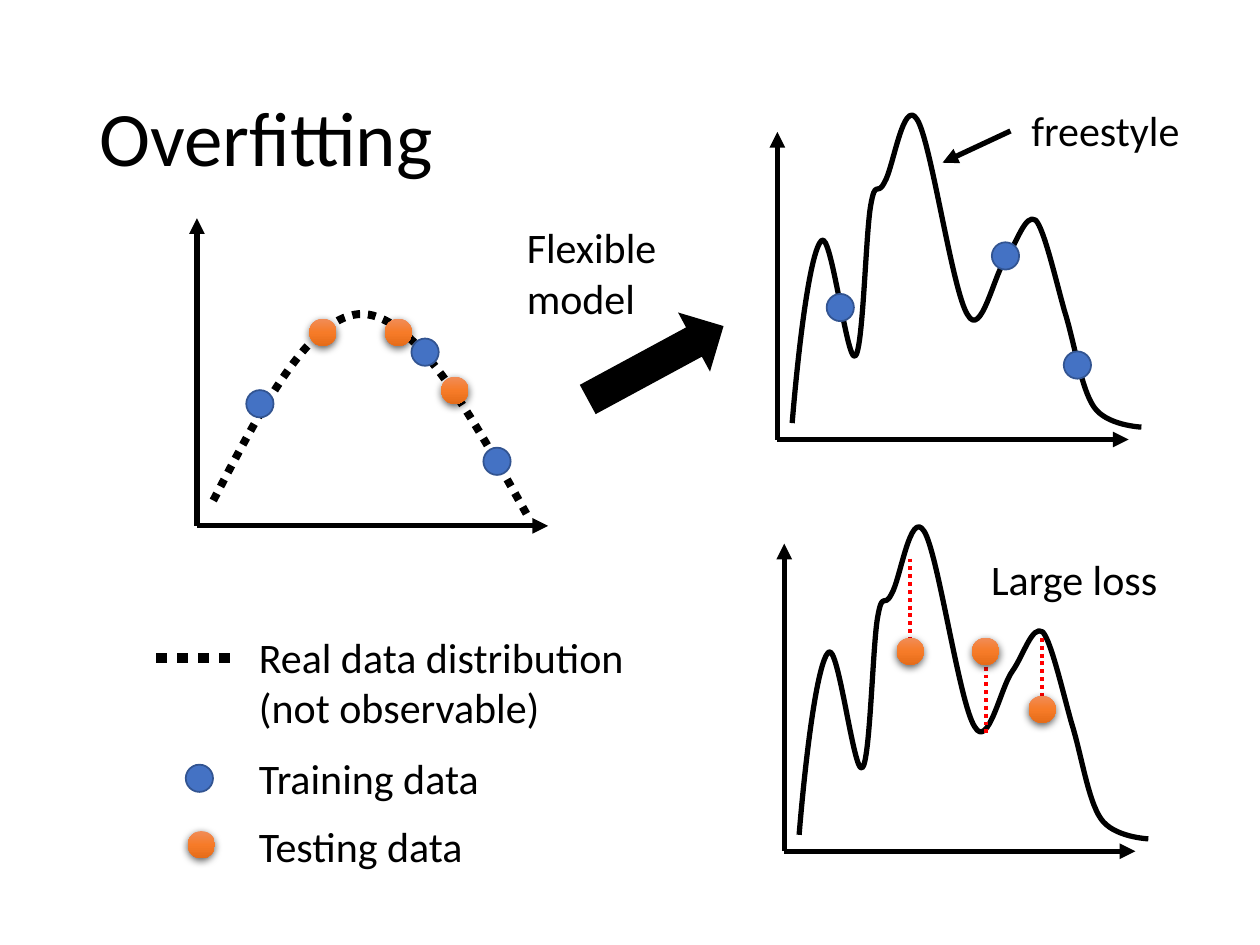
from copy import deepcopy

from lxml.etree import SubElement
from pptx import Presentation
from pptx.dml.color import RGBColor
from pptx.enum.dml import MSO_LINE
from pptx.enum.shapes import MSO_CONNECTOR, MSO_SHAPE
from pptx.enum.text import MSO_ANCHOR
from pptx.oxml.ns import qn
from pptx.util import Cm, Pt

COLORS = {
    "ink": "000000", "train": "4472C4", "train_edge": "325491", "loss": "FF0000",
    "test_top": "F18C57", "test_mid": "F67B28", "test_end": "E56C19",
}
REAL_CURVE = [
    (0.33, 0.51), (1.32, 2.41), (2.31, 4.29), (3.35, 4.27),
    (4.42, 4.22), (5.54, 2.21), (6.65, 0.23),
]
FITTED_CURVE = [
    (0.3, 0.33), (0.43, 1.91), (0.66, 3.78), (0.89, 4.01),
    (1.09, 4.22), (1.4, 1.55), (1.57, 1.68),
    (1.73, 1.78), (1.78, 4.11), (1.88, 4.7),
    (1.98, 5.28), (2.01, 4.88), (2.16, 5.18),
    (2.34, 5.46), (2.54, 6.91), (2.82, 6.45),
    (3.1, 6.02), (3.53, 2.97), (3.84, 2.51),
    (4.11, 2.03), (4.37, 3.33), (4.6, 3.63),
    (4.83, 3.96), (5, 4.57), (5.21, 4.42),
    (5.38, 4.24), (5.61, 3.23), (5.79, 2.59),
    (5.99, 1.96), (6.12, 1.04), (6.38, 0.66),
    (6.63, 0.28), (7.34, 0.25), (7.34, 0.25),
]
TRAIN_X = [1.27, 4.6, 6.05]
TEST_X = [2.54, 4.06, 5.2]


def rgb(name):
    """Return the named colour."""
    return RGBColor.from_string(COLORS[name])


def bounds(points, steps=16):
    """Return the lowest and highest x and y along a chain of cubic curves."""
    xs, ys = [], []
    for i in range(0, len(points) - 1, 3):
        for k in range(steps + 1):
            t = k / steps
            weights = ((1 - t) ** 3, 3 * t * (1 - t) ** 2, 3 * t * t * (1 - t), t ** 3)
            for axis, values in enumerate((xs, ys)):
                values.append(sum(w * pt[axis] for w, pt in zip(weights, points[i:i + 4])))
    return min(xs), min(ys), max(xs), max(ys)


class Deck:
    """Hold the style and the current slide."""

    font = "Calibri"
    dot_size = 0.55

    def __init__(self, slide):
        """Keep the slide to draw on."""
        self.s = slide

    def text(self, x, y, w, h, words, size=24):
        """Add a wrapping text box."""
        tf = self.s.shapes.add_textbox(Cm(x), Cm(y), Cm(w), Cm(h)).text_frame
        tf.word_wrap = True
        tf.text = words
        r = tf.paragraphs[0].runs[0]
        r.font.name, r.font.size = self.font, Pt(size)
        r.font.color.rgb = rgb("ink")
        return tf

    def stroke(self, line, color, width, dotted=False):
        """Style an outline."""
        line.color.rgb = rgb(color)
        line.width = Pt(width)
        if dotted:
            line.dash_style = MSO_LINE.ROUND_DOT

    def line(self, start, end, color="ink", width=3, dotted=False, arrow=False):
        """Add a straight line or arrow."""
        cx = self.s.shapes.add_connector(
            MSO_CONNECTOR.STRAIGHT, *(Cm(v) for v in (*start, *end)))
        self.stroke(cx.line, color, width, dotted)
        sp_pr = cx._element.spPr
        if arrow:
            SubElement(sp_pr.find(qn("a:ln")), qn("a:tailEnd"), type="triangle")
        SubElement(sp_pr, qn("a:effectLst"))

    def shape(self, kind, x, y, w, h, color, edge):
        """Add a filled preset shape."""
        sp = self.s.shapes.add_shape(kind, Cm(x), Cm(y), Cm(w), Cm(h))
        sp.shadow.inherit = False
        sp.fill.solid()
        sp.fill.fore_color.rgb = rgb(color)
        self.stroke(sp.line, edge, 1)
        SubElement(sp._element.spPr.find(qn("a:ln")), qn("a:miter"), lim="800000")
        return sp

    def train_dot(self, x, y):
        """Add a training point centred on x, y."""
        d = self.dot_size
        return self.shape(MSO_SHAPE.OVAL, x - d / 2, y - d / 2, d, d, "train", "train_edge")

    def test_dot(self, x, y):
        """Add a shaded testing point centred on x, y."""
        sp = self.train_dot(x, y)
        sp.line.fill.background()
        sp.fill.gradient()
        sp.fill.gradient_angle = 270
        sp_pr = sp._element.spPr
        stops = sp_pr.find(qn("a:gradFill")).find(qn("a:gsLst"))
        stops.append(deepcopy(stops[0]))
        names = ("test_top", "test_mid", "test_end")
        for i, (stop, name) in enumerate(zip(sp.fill.gradient_stops, names)):
            stop.position = i / 2
            stop.color.rgb = rgb(name)
        shadow = SubElement(sp_pr.find(qn("a:effectLst")), qn("a:outerShdw"),
                            blurRad=str(Pt(4.5)), dist=str(Pt(1.5)), dir="5400000",
                            algn="ctr", rotWithShape="0")
        black = SubElement(shadow, qn("a:srgbClr"), val=COLORS["ink"])
        SubElement(black, qn("a:alpha"), val="63000")

    def curve(self, points, width=3, dotted=False):
        """Add an open curve of cubic segments."""
        left, top, right, bottom = (Cm(v) for v in bounds(points))
        builder = self.s.shapes.build_freeform(left, top)
        builder.add_line_segments([(right, bottom)], close=False)
        sp = builder.convert_to_shape()
        outline = next(sp._element.iter(qn("a:path")))
        for child in list(outline):
            outline.remove(child)
        for i, (x, y) in enumerate(points):
            if i == 0:
                segment = SubElement(outline, qn("a:moveTo"))
            elif i % 3 == 1:
                segment = SubElement(outline, qn("a:cubicBezTo"))
            SubElement(segment, qn("a:pt"), x=str(Cm(x) - left), y=str(Cm(y) - top))
        sp.shadow.inherit = False
        sp.fill.background()
        self.stroke(sp.line, "ink", width, dotted)

    def plot(self, origin, curve, train=(), test=(), losses=(), **style):
        """Add axes, a curve and points measured upwards from the origin."""
        def at(point):
            return origin[0] + point[0], origin[1] - point[1]

        for tip in ((7.08, 0), (0, 6.2)):
            self.line(origin, at(tip), arrow=True)
        self.curve([at(pt) for pt in curve], **style)
        for x, low, high in losses:
            self.line(at((x, high)), at((x, low)), "loss", 2.25, dotted=True)
        for pt in zip(TRAIN_X, train):
            self.train_dot(*at(pt))
        for pt in zip(TEST_X, test):
            self.test_dot(*at(pt))


def main():
    """Build the slide."""
    prs = Presentation()
    prs.slide_width, prs.slide_height = Cm(25.4), Cm(19.05)
    deck = Deck(prs.slides.add_slide(prs.slide_layouts[6]))

    title = deck.text(1.75, 1.02, 21.9, 3.68, "Overfitting", 44)
    title.vertical_anchor = MSO_ANCHOR.MIDDLE
    title.paragraphs[0].line_spacing = 0.9

    deck.plot((3.97, 10.6), REAL_CURVE, train=(2.46, 3.5, 1.3),
              test=(3.9, 3.9, 2.73), width=4.5, dotted=True)
    deck.plot((15.67, 8.86), FITTED_CURVE, train=(2.66, 3.7, 1.5))
    deck.plot((15.81, 17.16), FITTED_CURVE, test=(4.03, 4.03, 2.86),
              losses=((2.54, 4.3, 5.9), (4.06, 2.35, 3.72), (5.2, 2.93, 4.3)))

    deck.line((3.15, 13.26), (4.8, 13.26), width=6, dotted=True)
    deck.train_dot(4.02, 15.69)
    deck.test_dot(4.06, 17.03)
    for y, h, words in ((12.6, 2.31, "Real data distribution (not observable)"),
                        (15.04, 1.27, "Training data"), (16.41, 1.27, "Testing data")):
        deck.text(4.97, y, 7.9, h, words)

    deck.text(10.37, 4.35, 3.18, 2.31, "Flexible model")
    arrow = deck.shape(MSO_SHAPE.RIGHT_ARROW, 11.68, 6.68, 3.07, 1.27, "ink", "ink")
    arrow.rotation = 331.6
    deck.text(20.54, 1.98, 4.8, 1.27, "freestyle")
    deck.line((20.37, 2.64), (19, 3.28), arrow=True)
    deck.text(19.73, 11.03, 3.99, 1.27, "Large loss")
    prs.save("out.pptx")


if __name__ == "__main__":
    main()
